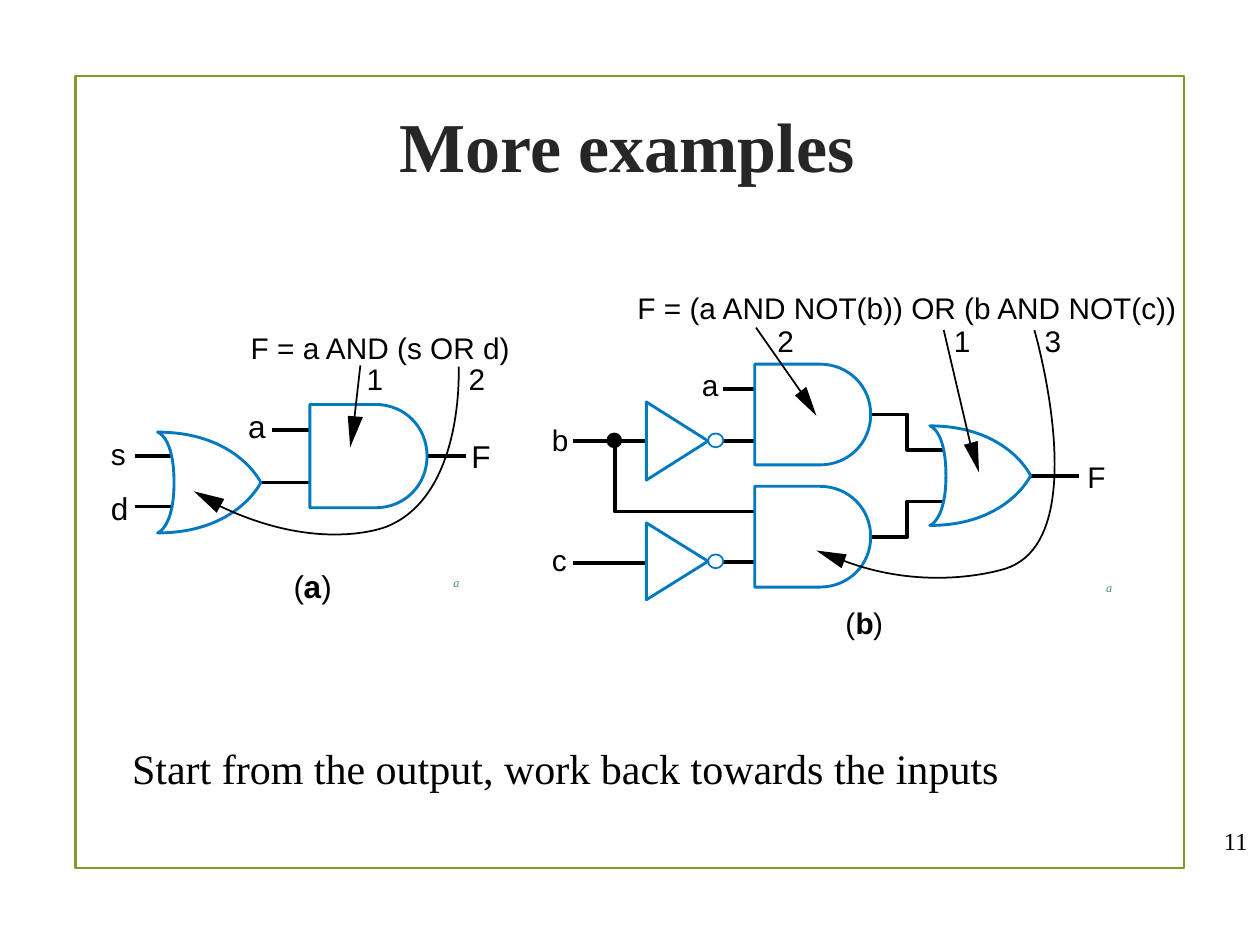
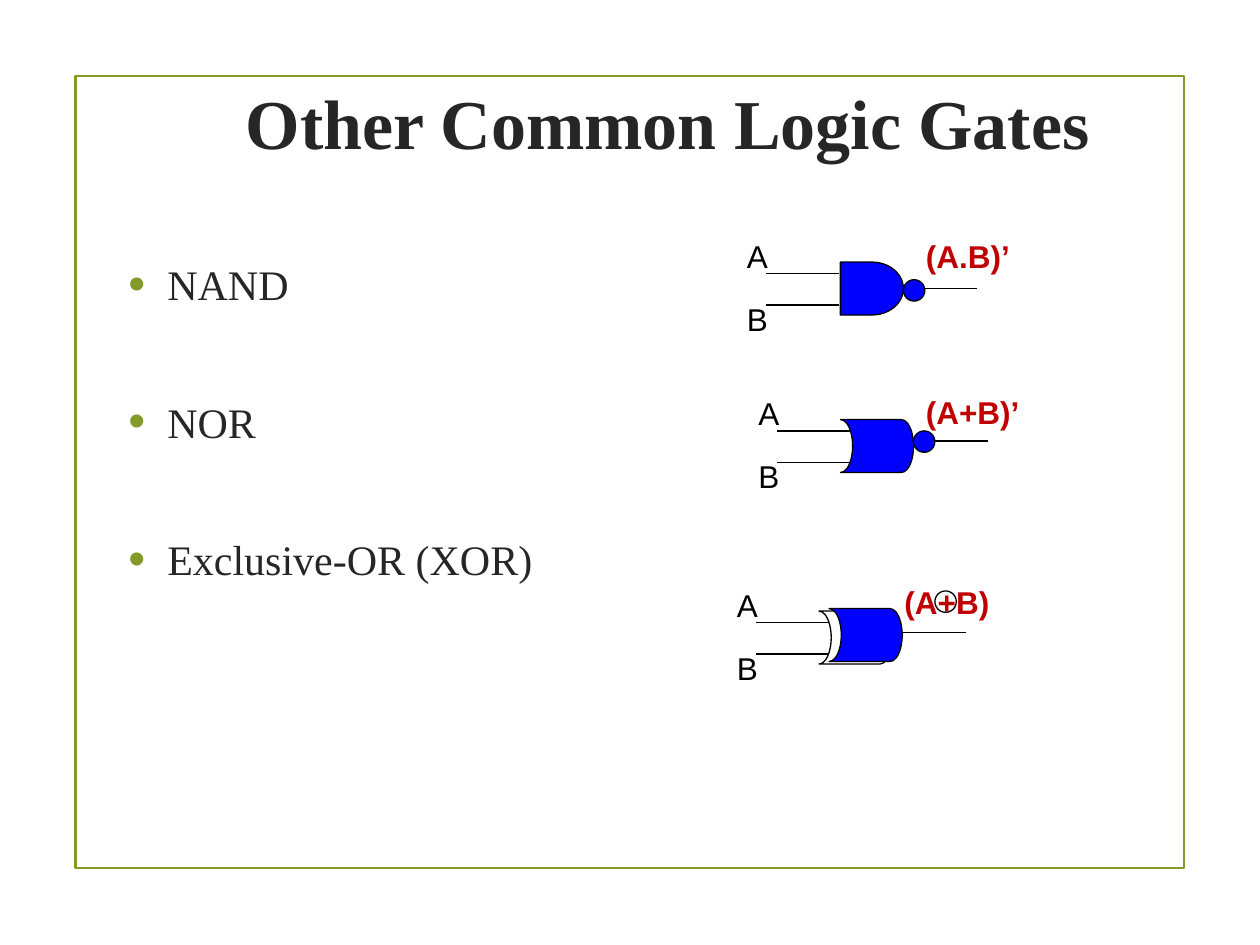
from lxml import etree
from pptx import Presentation
from pptx import util as u
from pptx.dml.color import RGBColor
from pptx.enum import shapes, text
from pptx.oxml.ns import qn

BLACK = RGBColor(0, 0, 0)
WHITE = RGBColor(255, 255, 255)
INK = RGBColor(0x26, 0x26, 0x26)
OLIVE = RGBColor(0x83, 0x99, 0x2A)
EDGE = RGBColor(0x00, 0x79, 0xC1)
BLUE = RGBColor(0, 0, 255)
RED = RGBColor(0xC0, 0, 0)
GREEN = RGBColor(0x3C, 0x97, 0x70)
SERIF, SANS = "Times New Roman", "Arial"
KIND = shapes.MSO_SHAPE


def say(slide, x, y, w, h, words, size, font=SANS, color=BLACK, pad=False):
    box = slide.shapes.add_textbox(u.Inches(x), u.Inches(y), u.Inches(w), u.Inches(h))
    frame = box.text_frame
    frame.word_wrap = pad
    if not pad:
        frame.margin_left = frame.margin_right = 0
        frame.margin_top = frame.margin_bottom = 0
    frame.text = words
    for para in frame.paragraphs:
        for run in para.runs:
            run.font.size = u.Pt(size)
            run.font.name = font
            run.font.color.rgb = color
    return frame


def draw(slide, trail, width=0, line=BLACK, fill=None, box=(0, 0, 1, 1)):
    x, y, w, h = box
    spots = [(u.Inches(x + w * step[i]), u.Inches(y + h * step[i + 1]))
             for step in trail for i in range(0, len(step), 2)]
    if len(spots) == 2:
        item = slide.shapes.add_connector(shapes.MSO_CONNECTOR.STRAIGHT, *spots[0], *spots[1])
    else:
        form = slide.shapes.build_freeform(*spots[0])
        form.add_line_segments(spots[1:], close=fill is not None)
        item = form.convert_to_shape()
        item.shadow.inherit = False
        legs = iter(list(item._element.iter(qn("a:lnTo"))))
        for step in trail[1:]:
            part = [next(legs) for _ in range(len(step) // 2)]
            if len(part) == 3:
                curve = etree.Element(qn("a:cubicBezTo"))
                part[0].addprevious(curve)
                for leg in part:
                    curve.append(leg[0])
                    leg.getparent().remove(leg)
        if fill is None:
            item.fill.background()
        else:
            item.fill.solid()
            item.fill.fore_color.rgb = fill
    if width:
        item.line.color.rgb = line
        item.line.width = u.Pt(width)
    else:
        item.line.fill.background()
    if len(spots) == 2:
        etree.SubElement(item._element.spPr, qn("a:effectLst"))


deck = Presentation()
deck.slide_width, deck.slide_height = u.Inches(10), u.Inches(7.5)
pages = []
for words, x, y, w in (("More examples", 0.59, 0.43, 8.77),
                       ("Other Common Logic Gates", 1.58, 0.25, 7.44)):
    page = deck.slides.add_slide(deck.slide_layouts[5])
    frame = page.shapes.add_shape(KIND.RECTANGLE, u.Inches(0.6), u.Inches(0.6),
                                  u.Inches(8.8), u.Inches(6.29))
    frame.shadow.inherit = False
    frame.fill.background()
    frame.line.color.rgb = OLIVE
    frame.line.width = u.Pt(1.25)
    title = page.shapes.title
    title.left, title.top = u.Inches(x), u.Inches(y)
    title.width, title.height = u.Inches(w), u.Inches(1.43)
    title.text_frame.text = words
    title.text_frame.vertical_anchor = text.MSO_ANCHOR.MIDDLE
    para = title.text_frame.paragraphs[0]
    para.alignment = text.PP_ALIGN.CENTER
    font = para.runs[0].font
    font.name, font.size, font.bold = SERIF, u.Pt(40), True
    font.color.rgb = INK
    pages.append(page)
first, second = pages

wires = [
    [(2.16, 3.41), (2.46, 3.41)], [(2.08, 3.83), (2.45, 3.83)], [(3.38, 3.62), (3.7, 3.62)],
    [(1.07, 3.62), (1.36, 3.62)], [(1.07, 4.02), (1.36, 4.02)], [(8.18, 3.78), (8.56, 3.78)],
    [(5.74, 3.09), (5.99, 3.09)], [(5.65, 3.5), (5.99, 3.5)], [(4.55, 3.5), (5.13, 3.5)],
    [(5.65, 4.46), (5.99, 4.46)], [(4.55, 4.47), (5.13, 4.47)],
    [(6.89, 3.29), (7.2, 3.29), (7.2, 3.57), (7.48, 3.57)],
    [(6.89, 4.26), (7.2, 4.26), (7.2, 3.98), (7.48, 3.98)],
    [(5.99, 4.06), (4.88, 4.06), (4.88, 3.49)],
]
for wire in wires:
    draw(first, wire, 2.13)

AND = [(0, 1), (0.56, 1), (0.81, 1, 1, 0.78, 1, 0.5), (1, 0.22, 0.81, 0, 0.56, 0), (0, 0)]
OR = [(1, 0.5), (1, 0.5, 0.77, 1, 0, 1), (0, 1, 0.16, 0.95, 0.16, 0.5),
      (0.16, 0.04, 0, 0, 0, 0), (0.77, 0, 1, 0.5, 1, 0.5)]
NOT = [(0, 1), (1, 0.5), (0, 0)]
for gate, box in ((AND, (2.46, 3.21, 0.93, 0.82)), (OR, (1.25, 3.43, 0.82, 0.8)),
                  (OR, (7.38, 3.38, 0.8, 0.79)),
                  (NOT, (5.13, 3.19, 0.49, 0.62)), (NOT, (5.13, 4.15, 0.49, 0.61)),
                  (AND, (5.99, 2.89, 0.92, 0.8)), (AND, (5.99, 3.86, 0.92, 0.8))):
    draw(first, gate, 1.63, EDGE, WHITE, box)

arrows = [
    ([(3.64, 2.91), (3.64, 2.91, 3.69, 3.93, 3.07, 4.18), (3.07, 4.18, 2.52, 4.41, 1.69, 3.99)],
     [(1.54, 3.9), (1.72, 4.07), (1.78, 3.96)]),
    ([(2.86, 2.9), (2.8, 3.43)], [(2.78, 3.55), (2.88, 3.31), (2.76, 3.3)]),
    ([(7.49, 2.62), (7.72, 3.6)], [(7.77, 3.75), (7.76, 3.5), (7.65, 3.53)]),
    ([(6, 2.6), (6.42, 3.2)], [(6.48, 3.3), (6.4, 3.07), (6.31, 3.14)]),
    ([(8.21, 2.62), (8.21, 2.62, 8.69, 4.27, 7.99, 4.51), (7.99, 4.51, 7.35, 4.73, 6.62, 4.42)],
     [(6.48, 4.37), (6.68, 4.51), (6.72, 4.4)]),
]
for shaft, head in arrows:
    draw(first, shaft, 1)
    draw(first, head, fill=BLACK)

for words, x, y, w, size in (
        ("a", 1.97, 3.23, 0.14, 18), ("s", 0.88, 3.46, 0.12, 17), ("d", 0.88, 3.88, 0.14, 18),
        ("F", 3.74, 3.47, 0.15, 18), ("F = a AND (s OR d)", 1.99, 2.62, 2.07, 17),
        ("1", 2.91, 2.86, 0.13, 17), ("2", 3.72, 2.86, 0.13, 17),
        ("a", 5.57, 2.91, 0.13, 17), ("b", 4.38, 3.35, 0.13, 17), ("c", 4.38, 4.3, 0.12, 17),
        ("F", 8.63, 3.64, 0.14, 17), ("2", 6.17, 2.56, 0.13, 17),
        ("1", 7.57, 2.56, 0.13, 17), ("3", 8.29, 2.56, 0.13, 17),
        ("F = (a AND NOT(b)) OR (b AND NOT(c))", 5.06, 2.3, 4.3, 17)):
    say(first, x, y, w, 0.28, words, size)

for name, left, y, size in (("a", 2.33, 4.5, 18), ("b", 6.71, 4.8, 17)):
    for words, shift, w in (("(", 0, 0.08), (name, 0.08, 0.14), (")", 0.22, 0.08)):
        label = say(first, left + shift, y, w, 0.28, words, size)
        label.paragraphs[0].runs[0].font.bold = words == name

for x, y in ((3.5, 4.52), (8.68, 4.56)):
    mark = say(first, x, y, 0.25, 0.22, "a", 7, SERIF, GREEN, True)
    mark.paragraphs[0].runs[0].font.italic = True

say(first, 0.95, 5.84, 8.36, 0.5, "Start from the output, work back towards the inputs",
    24, SERIF, pad=True)
count = say(first, 8.74, 6.52, 1.26, 0.31, "11", 14, SERIF, pad=True)
count.vertical_anchor = text.MSO_ANCHOR.MIDDLE
count.paragraphs[0].alignment = text.PP_ALIGN.RIGHT

for x, y, drop, words, left, top in ((5.83, 1.83, 0.46, "(A.B)’", 7.25, 1.83),
                                     (5.92, 3.08, 0.42, "(A+B)’", 7.25, 3.07),
                                     (5.75, 4.6, 0.42, "(A+B)", 7.08, 4.58)):
    for name, down in (("A", 0), ("B", 0.5)):
        say(second, x, y + down, 0.33, 0.4, name, 18, pad=True)
    for row in (0.34, 0.59):
        draw(second, [(x + 0.25, y + row), (x + 0.83, y + row)], 0.75)
    draw(second, [(x + 1.33, y + drop), (x + 1.92, y + drop)], 0.75)
    label = say(second, left, top, 1.08, 0.4, words, 18, color=RED, pad=True)
    label.paragraphs[0].runs[0].font.bold = True

RING, STORE = KIND.FLOWCHART_CONNECTOR, KIND.FLOWCHART_STORED_DATA
for page, kind, x, y, w, h, fill, line, width in (
        (first, KIND.OVAL, 4.82, 3.44, 0.11, 0.11, BLACK, BLACK, 1),
        (first, KIND.OVAL, 5.62, 3.44, 0.12, 0.11, WHITE, EDGE, 1),
        (first, KIND.OVAL, 5.62, 4.4, 0.12, 0.11, WHITE, EDGE, 1),
        (second, KIND.FLOWCHART_DELAY, 6.67, 2.08, 0.5, 0.42, BLUE, BLACK, 0.75),
        (second, STORE, 6.67, 3.33, 0.58, 0.42, BLUE, BLACK, 0.75),
        (second, STORE, 6.5, 4.85, 0.58, 0.42, None, BLACK, 0.75),
        (second, STORE, 6.58, 4.83, 0.58, 0.42, BLUE, BLACK, 0.75),
        (second, RING, 7.17, 2.22, 0.17, 0.17, BLUE, BLACK, 0.75),
        (second, RING, 7.25, 3.42, 0.17, 0.17, BLUE, BLACK, 0.75),
        (second, RING, 7.42, 4.69, 0.17, 0.17, None, BLACK, 0.75)):
    item = page.shapes.add_shape(kind, u.Inches(x), u.Inches(y), u.Inches(w), u.Inches(h))
    item.shadow.inherit = False
    item.line.color.rgb = line
    item.line.width = u.Pt(width)
    if kind == STORE:
        item.rotation = 180
    if fill is None:
        item.fill.background()
    else:
        item.fill.solid()
        item.fill.fore_color.rgb = fill

gates = say(second, 0.92, 2, 4.94, 5.33, "NAND\nNOR\nExclusive-OR (XOR)",
            24, SERIF, INK, pad=True)
for n, para in enumerate(gates.paragraphs):
    if n:
        para.space_before = u.Pt(50)
    props = para._p.get_or_add_pPr()
    props.set("marL", str(u.Inches(0.31)))
    props.set("indent", str(-u.Inches(0.31)))
    tint = etree.SubElement(props, qn("a:buClr"))
    etree.SubElement(tint, qn("a:srgbClr"), val=str(OLIVE))
    etree.SubElement(props, qn("a:buSzPct"), val="115000")
    etree.SubElement(props, qn("a:buFont"), typeface=SANS)
    etree.SubElement(props, qn("a:buChar"), char="•")

deck.save("out.pptx")
